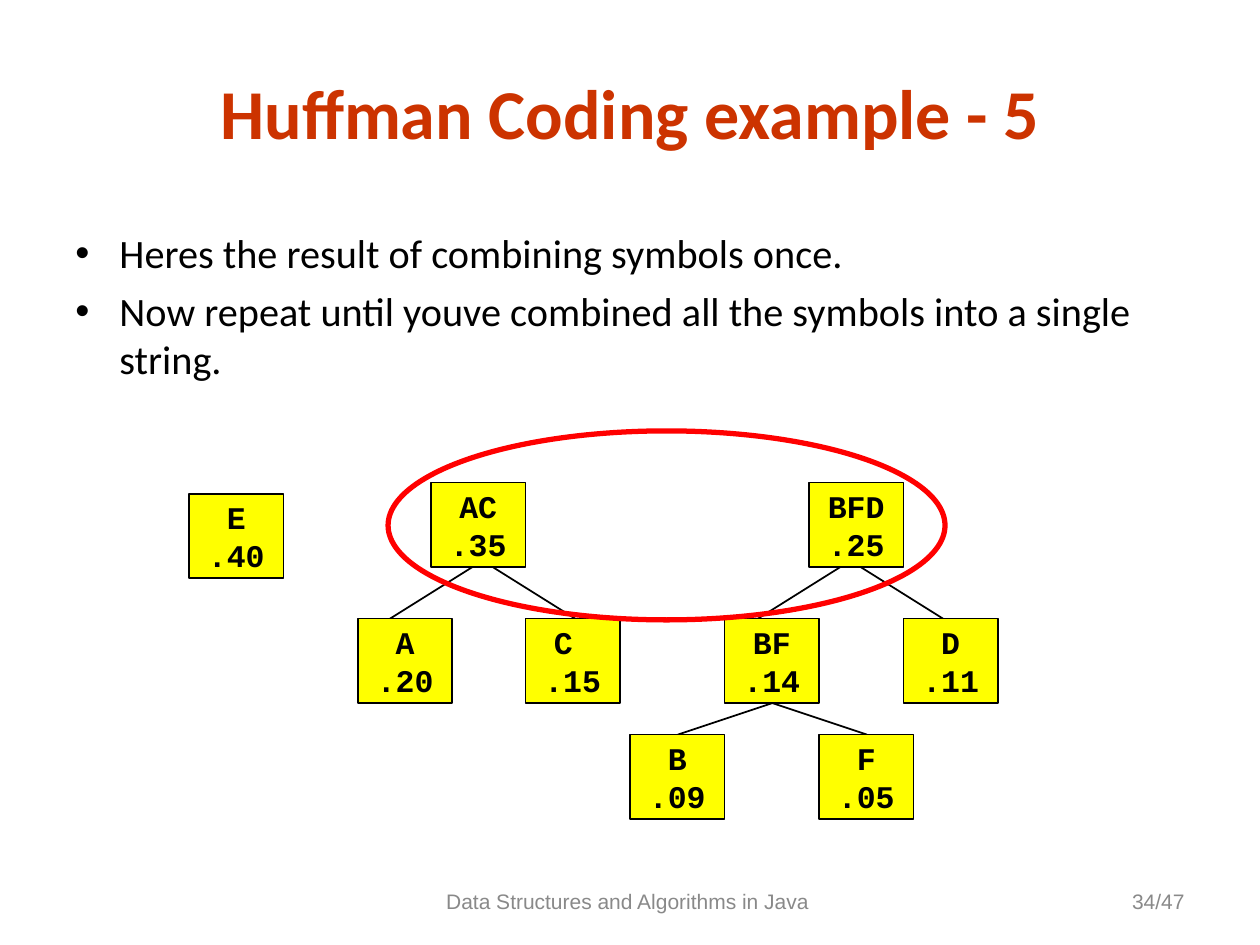
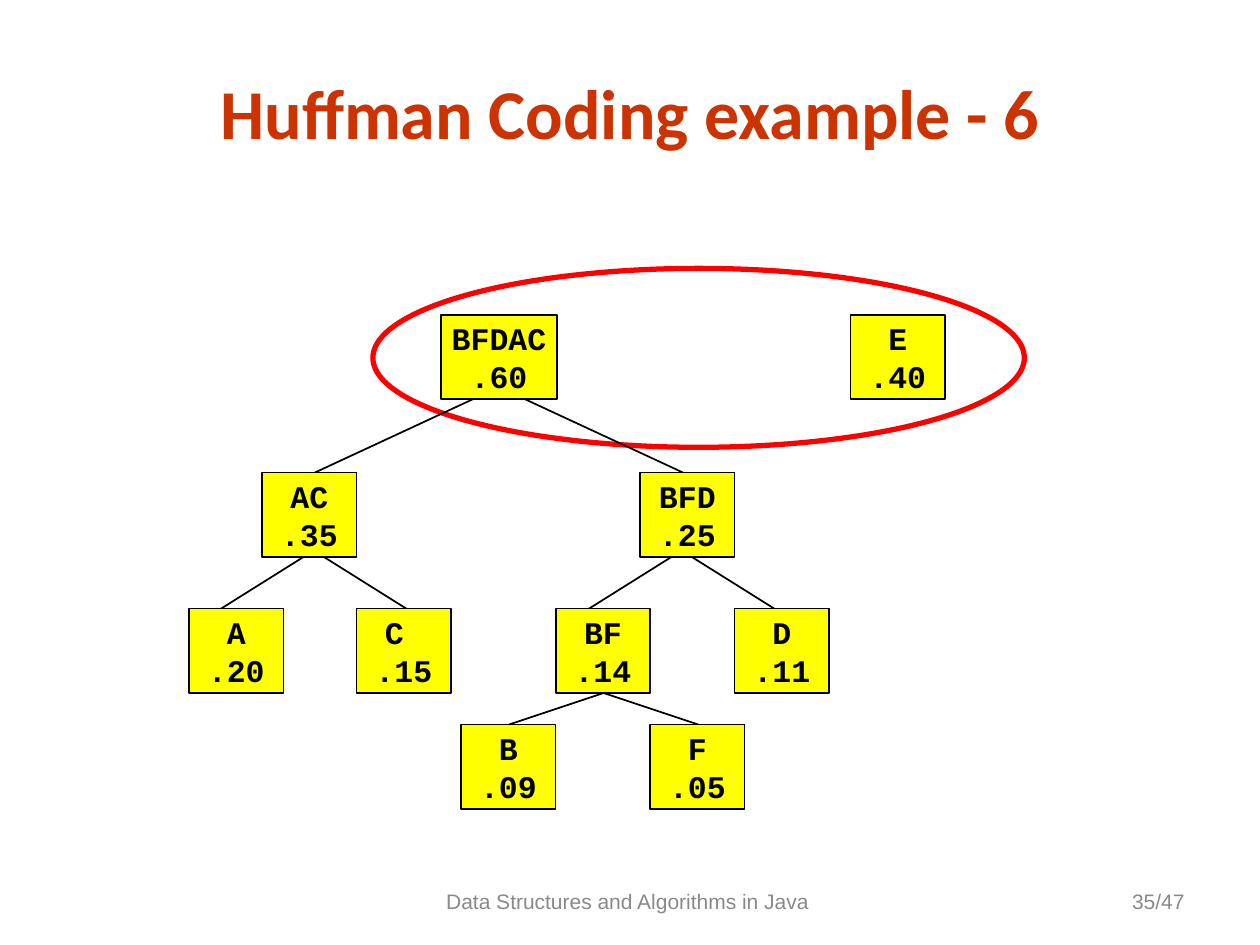
from lxml.etree import SubElement
from pptx import Presentation
from pptx.dml.color import RGBColor
from pptx.enum.shapes import MSO_CONNECTOR, MSO_SHAPE
from pptx.enum.text import MSO_ANCHOR, MSO_AUTO_SIZE, PP_ALIGN
from pptx.oxml.ns import qn
from pptx.util import Inches, Pt

BLACK = RGBColor(0x00, 0x00, 0x00)
YELLOW = RGBColor(0xFF, 0xFF, 0x00)
RED = RGBColor(0xFF, 0x00, 0x00)
RUST = RGBColor(0xCC, 0x33, 0x00)
GRAY = RGBColor(0x89, 0x89, 0x89)

FOOTER = "Data Structures and Algorithms in Java "
TOTAL = 47
NODE_W, NODE_H = 0.75, 0.67

# Symbol, weight, left and top, measured from the AC node
NODES = [
    ("AC", ".35", 0, 0), ("A", ".20", -0.58, 1.08), ("C ", ".15", 0.75, 1.08),
    ("BFD", ".25", 3, 0), ("BF", ".14", 2.33, 1.08), ("D", ".11", 3.75, 1.08),
    ("B", ".09", 1.58, 2), ("F", ".05", 3.08, 2),
]
# Middle, top, drop, half gap at top and half spread at bottom of each fork
FORKS = [
    (0.41, 0.67, 0.42, 0.08, 0.75),
    (3.33, 0.67, 0.42, 0.08, 0.75),
    (2.71, 1.75, 0.25, 0, 0.75),
]


def style(frame, font, size, color, bold=False, align=PP_ALIGN.LEFT):
    for para in frame.paragraphs:
        para.alignment = align
        for run in para.runs:
            run.font.name = font
            run.font.size = Pt(size)
            run.font.bold = bold
            run.font.color.rgb = color


def place(shape, x, y, w, h):
    shape.left, shape.top = Inches(x), Inches(y)
    shape.width, shape.height = Inches(w), Inches(h)


def add_text(slide, text, x, y, w, h):
    box = slide.shapes.add_textbox(Inches(x), Inches(y), Inches(w), Inches(h))
    frame = box.text_frame
    frame.word_wrap = True
    frame.text = text
    return frame


def add_note(slide, text, x, w, align):
    frame = add_text(slide, text, x, 6.95, w, 0.4)
    frame.vertical_anchor = MSO_ANCHOR.MIDDLE
    style(frame, "Arial", 12, GRAY, align=align)


def add_page(deck, title, number):
    slide = deck.slides.add_slide(deck.slide_layouts[5])
    head = slide.shapes.title
    place(head, 0.75, 0.5, 8.5, 0.77)
    frame = head.text_frame
    frame.text = title
    frame.auto_size = MSO_AUTO_SIZE.NONE
    frame.vertical_anchor = MSO_ANCHOR.MIDDLE
    style(frame, "Calibri", 40, RUST, True, PP_ALIGN.CENTER)
    add_note(slide, FOOTER, 3.42, 3.17, PP_ALIGN.CENTER)
    add_note(slide, f"{number}/{TOTAL}", 7.17, 2.33, PP_ALIGN.RIGHT)
    return slide


def add_points(slide, points):
    frame = add_text(slide, "\n".join(points), 0.5, 1.76, 9, 1.32)
    style(frame, "Calibri", 23, BLACK)
    for para in frame.paragraphs:
        para.space_after = Pt(5.8)
        props = para._p.get_or_add_pPr()
        props.set("marL", str(Inches(0.35)))
        props.set("indent", str(Inches(-0.35)))
        SubElement(props, qn("a:buFont")).set("typeface", "Arial")
        SubElement(props, qn("a:buChar")).set("char", "•")


def add_node(slide, name, weight, x, y, w=NODE_W):
    node = slide.shapes.add_shape(
        MSO_SHAPE.RECTANGLE, Inches(x), Inches(y), Inches(w), Inches(NODE_H))
    node.shadow.inherit = False
    node.fill.solid()
    node.fill.fore_color.rgb = YELLOW
    node.line.color.rgb = BLACK
    node.line.width = Pt(1)
    frame = node.text_frame
    frame.text = f"{name}\n{weight}"
    frame.word_wrap = False
    frame.vertical_anchor = MSO_ANCHOR.MIDDLE
    style(frame, "Courier New", 18, BLACK, True, PP_ALIGN.CENTER)


def add_fork(slide, x, y, drop, near, far):
    for side in (-1, 1):
        edge = slide.shapes.add_connector(
            MSO_CONNECTOR.STRAIGHT, Inches(x + side * near), Inches(y),
            Inches(x + side * far), Inches(y + drop))
        edge.line.color.rgb = BLACK
        edge.line.width = Pt(1)
        SubElement(edge._element.spPr, qn("a:effectLst"))


def add_trees(slide, x, y):
    for mid, top, *rest in FORKS:
        add_fork(slide, x + mid, y + top, *rest)
    for name, weight, left, top in NODES:
        add_node(slide, name, weight, x + left, y + top)


def add_ring(slide, x, y, w, h):
    ring = slide.shapes.add_shape(
        MSO_SHAPE.OVAL, Inches(x), Inches(y), Inches(w), Inches(h))
    ring.shadow.inherit = False
    ring.fill.background()
    ring.line.color.rgb = RED
    ring.line.width = Pt(3)


def main():
    deck = Presentation()
    deck.slide_width, deck.slide_height = Inches(10), Inches(7.5)

    # Two trees, about to be joined
    slide = add_page(deck, "Huffman Coding example - 5", 34)
    add_points(slide, [
        "Heres the result of combining symbols once.",
        "Now repeat until youve combined all the symbols into a single string.",
    ])
    add_node(slide, "E", ".40", 1.5, 3.92)
    add_trees(slide, 3.42, 3.83)
    add_ring(slide, 3.08, 3.42, 4.42, 1.5)

    # Trees joined under one root, with E still to come
    slide = add_page(deck, "Huffman Coding example - 6", 35)
    add_ring(slide, 2.96, 2.13, 5.17, 1.42)
    add_node(slide, "E", ".40", 6.75, 2.5)
    add_node(slide, "BFDAC", ".60", 3.5, 2.5, 0.92)
    add_fork(slide, 3.96, 3.17, 0.58, 0.21, 1.46)
    add_trees(slide, 2.08, 3.75)

    deck.save("out.pptx")


if __name__ == "__main__":
    main()
